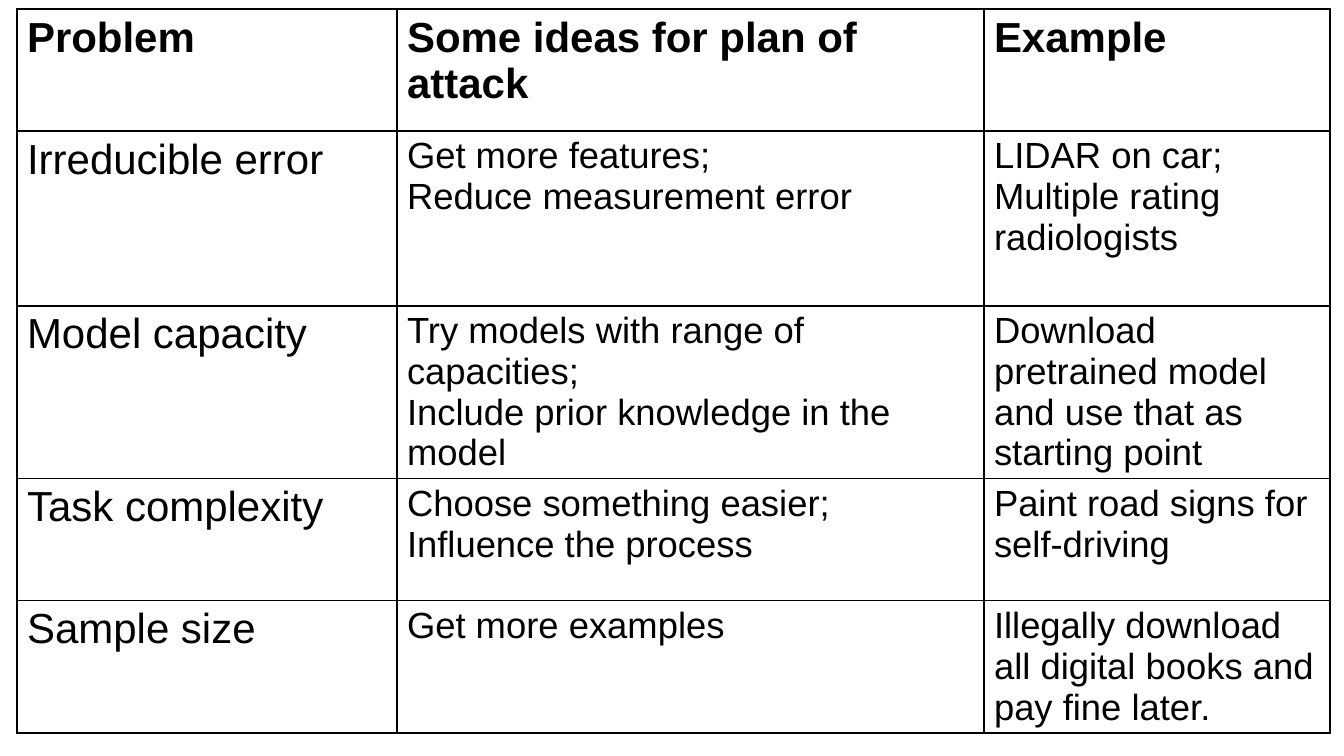
from dataclasses import dataclass
from itertools import chain

from lxml.etree import SubElement
from pptx import Presentation
from pptx.dml.color import RGBColor
from pptx.oxml.ns import qn
from pptx.util import Emu, Pt

BLACK = RGBColor(0x00, 0x00, 0x00)
FONT = "Arial"
LARGE, SMALL = 30, 26
WIDTHS = (380, 587, 346)
LEFT, TOP, HEIGHT = 17, 9, 745
SIDES = ("a:lnL", "a:lnR", "a:lnT", "a:lnB")


@dataclass(frozen=True)
class Row:
    issue: str
    plan: str
    example: str
    height: int = 122
    head: bool = False


ROWS = (
    Row("Problem", "Some ideas for plan of attack", "Example", head=True),
    Row("Irreducible error",
        "Get more features;\nReduce measurement error",
        "LIDAR on car;\nMultiple rating radiologists", height=175),
    Row("Model capacity",
        "Try models with range of capacities;\n"
        "Include prior knowledge in the model",
        "Download pretrained model and use that as starting point"),
    Row("Task complexity",
        "Choose something easier;\nInfluence the process",
        "Paint road signs for self-driving"),
    Row("Sample size", "Get more examples",
        "Illegally download all digital books and pay fine later."),
)


def px(count: int) -> Emu:
    return Emu(round(count * 914400 / 100.8))


def add_edges(cell) -> None:
    """Rule all four sides; called before the fill, which must follow them."""
    props = cell._tc.get_or_add_tcPr()
    for side in SIDES:
        line = SubElement(props, qn(side), w=str(Pt(1)))
        fill = SubElement(line, qn("a:solidFill"))
        SubElement(fill, qn("a:srgbClr"), val=str(BLACK))


def fill_cell(cell, text: str, size: int, bold: bool) -> None:
    add_edges(cell)
    cell.fill.background()
    cell.text_frame.text = text
    for run in chain.from_iterable(p.runs for p in cell.text_frame.paragraphs):
        run.font.name = FONT
        run.font.size = Pt(size)
        run.font.bold = bold
        run.font.color.rgb = BLACK


def add_grid(slide) -> None:
    frame = slide.shapes.add_table(
        len(ROWS), len(WIDTHS), px(LEFT), px(TOP), px(sum(WIDTHS)), px(HEIGHT))
    table = frame.table
    table.first_row = table.horz_banding = False
    for column, width in zip(table.columns, WIDTHS):
        column.width = px(width)
    for i, row in enumerate(ROWS):
        table.rows[i].height = px(row.height)
        for j, text in enumerate((row.issue, row.plan, row.example)):
            size = LARGE if row.head or j == 0 else SMALL
            fill_cell(table.cell(i, j), text, size, row.head)
    # Row heights reset the frame, so its height comes last
    frame.height = px(HEIGHT)


def main() -> None:
    deck = Presentation()
    deck.slide_width, deck.slide_height = px(1344), px(756)
    # Blank layout: the table fills the slide
    add_grid(deck.slides.add_slide(deck.slide_layouts[6]))
    deck.save("out.pptx")


if __name__ == "__main__":
    main()
